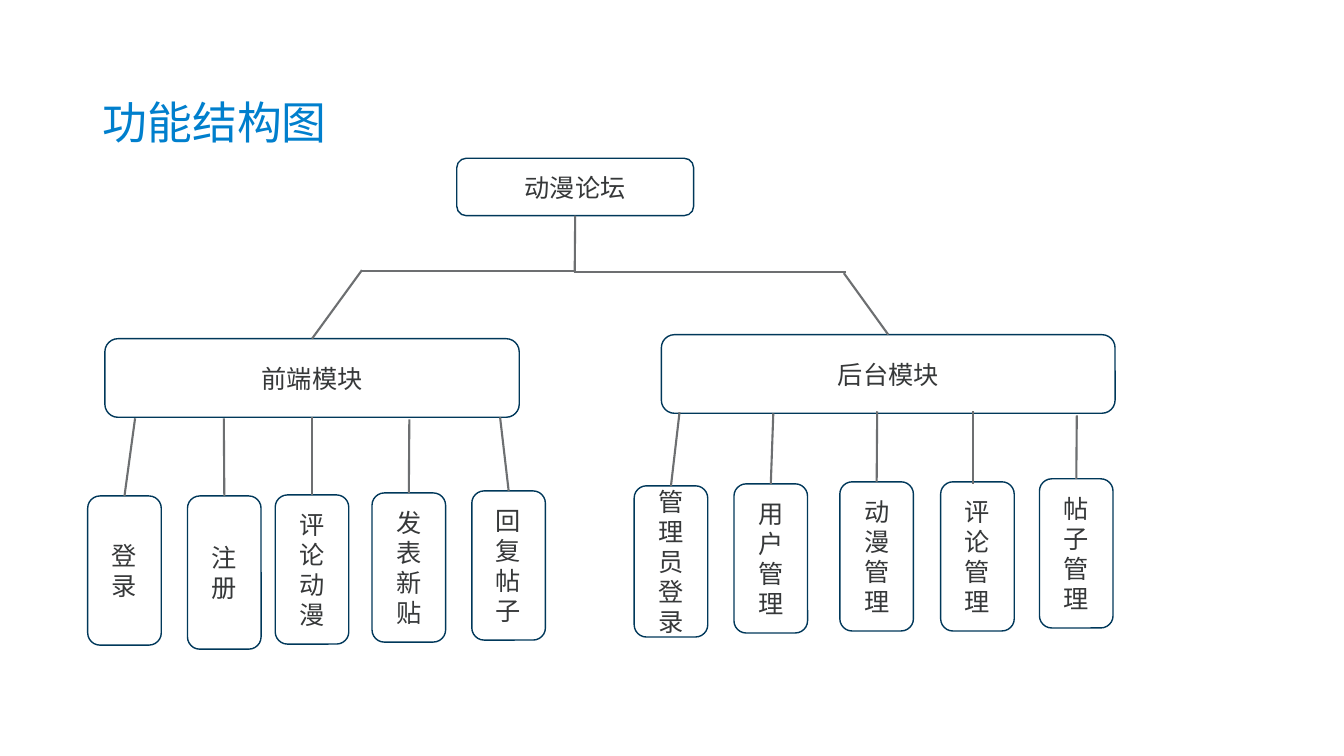
import pptx
import pptx.dml.color
import pptx.enum.shapes
import pptx.enum.text
import pptx.oxml
import pptx.oxml.ns
import pptx.util

PX = 9144  # EMU per px, 100 px to the inch
LATIN_FONT = "Arial"
TITLE_FONT = "Noto Sans CJK SC"
TITLE_BLUE, NAVY, GREY, INK, WHITE = "007FCD", "00385A", "6D6F71", "363839", "FFFFFF"
TOP, BOTTOM = 0, 2  # connection sites of a box
LEAF_WIDTH = 73

# Each leaf: label, left, top, height, branch start x, branch start y,
# branch end (None joins the middle of the leaf's top side)
FRONT_LEAVES = [
    ("登录", 87, 492, 148, 134, 415, None),
    ("注册", 186, 492, 152, 222, 415, None),
    ("评论动漫", 273, 491, 148, 309, 415, None),
    ("发表新贴", 369, 489, 148, 406, 416, None),
    ("回复帖子", 468, 487, 148, 496, 414, None),
]
BACK_LEAVES = [
    ("管理员登录", 629, 482, 150, 674, 409, None),
    ("用户管理", 728, 480, 148, 767, 410, None),
    ("动漫管理", 833, 478, 148, 870, 408, None),
    ("评论管理", 933, 478, 148, 965, 408, (965, 480)),
    ("帖子管理", 1031, 475, 148, 1068, 412, None),
]


def px(length):
    return pptx.util.Emu(length * PX)


def colour(value):
    return pptx.dml.color.RGBColor.from_string(value)


def add_span(para, text, size, font, ink):
    span = para.add_run()
    span.text = text
    span.font.size = pptx.util.Pt(size)
    span.font.name = font
    span.font.color.rgb = colour(ink)
    east_asian = pptx.oxml.parse_xml(
        f'<a:ea {pptx.oxml.ns.nsdecls("a")} typeface="{font}"/>')
    span.font._element.find(pptx.oxml.ns.qn("a:latin")).addnext(east_asian)


def add_title(page, text):
    box = page.shapes.add_textbox(px(92), px(79), px(1150), px(90))
    frame = box.text_frame
    frame.word_wrap = True
    frame.vertical_anchor = pptx.enum.text.MSO_ANCHOR.MIDDLE
    para = frame.paragraphs[0]
    para.line_spacing = 0.9
    add_span(para, text, 32, TITLE_FONT, TITLE_BLUE)


def add_box(page, label, left, top, width, height):
    box = page.shapes.add_shape(
        pptx.enum.shapes.MSO_SHAPE.ROUNDED_RECTANGLE,
        px(left), px(top), px(width), px(height))
    box.shadow.inherit = False
    box.fill.solid()
    box.fill.fore_color.rgb = colour(WHITE)
    box.line.color.rgb = colour(NAVY)
    box.line.width = pptx.util.Pt(1)
    frame = box.text_frame
    frame.word_wrap = True
    frame.vertical_anchor = pptx.enum.text.MSO_ANCHOR.MIDDLE
    para = frame.paragraphs[0]
    para.alignment = pptx.enum.text.PP_ALIGN.CENTER
    add_span(para, label, 18, LATIN_FONT, INK)
    return box


def add_line(page, start, end, from_box=None, to_box=None):
    """Draw a line; a box given for an end joins its bottom (from) or top (to)."""
    line = page.shapes.add_connector(
        pptx.enum.shapes.MSO_CONNECTOR.STRAIGHT,
        px(start[0]), px(start[1]), px(end[0]), px(end[1]))
    line.line.color.rgb = colour(GREY)
    line.line.width = pptx.util.Pt(1.5)
    line._element.spPr.append(pptx.oxml.parse_xml(
        f'<a:effectLst {pptx.oxml.ns.nsdecls("a")}/>'))
    if from_box is not None:
        line.begin_connect(from_box, BOTTOM)
    if to_box is not None:
        line.end_connect(to_box, TOP)


def add_leaves(page, module, leaves):
    middle = (module.left + module.width // 2) // PX
    for label, left, top, height, start_x, start_y, end in leaves:
        leaf = add_box(page, label, left, top, LEAF_WIDTH, height)
        add_line(page, (start_x, start_y), end or (left + LEAF_WIDTH // 2, top),
                 from_box=module if start_x == middle else None,
                 to_box=None if end else leaf)


def main():
    deck = pptx.Presentation()
    deck.slide_width, deck.slide_height = px(1333), px(750)
    page = deck.slides.add_slide(deck.slide_layouts[6])
    add_title(page, "功能结构图")

    # Root and the two modules
    root = add_box(page, "动漫论坛", 453, 157, 235, 57)
    back = add_box(page, "后台模块", 656, 332, 450, 78)
    front = add_box(page, "前端模块", 104, 336, 411, 78)

    # Lines from the root down to the modules
    add_line(page, (570, 214), (570, 270), from_box=root)
    add_line(page, (569, 270), (839, 270))
    add_line(page, (837, 271), (881, 332), to_box=back)
    add_line(page, (359, 269), (569, 269))
    add_line(page, (359, 268), (309, 336), to_box=front)

    # Functions of each module
    add_leaves(page, front, FRONT_LEAVES)
    add_leaves(page, back, BACK_LEAVES)

    deck.save("out.pptx")


if __name__ == "__main__":
    main()
